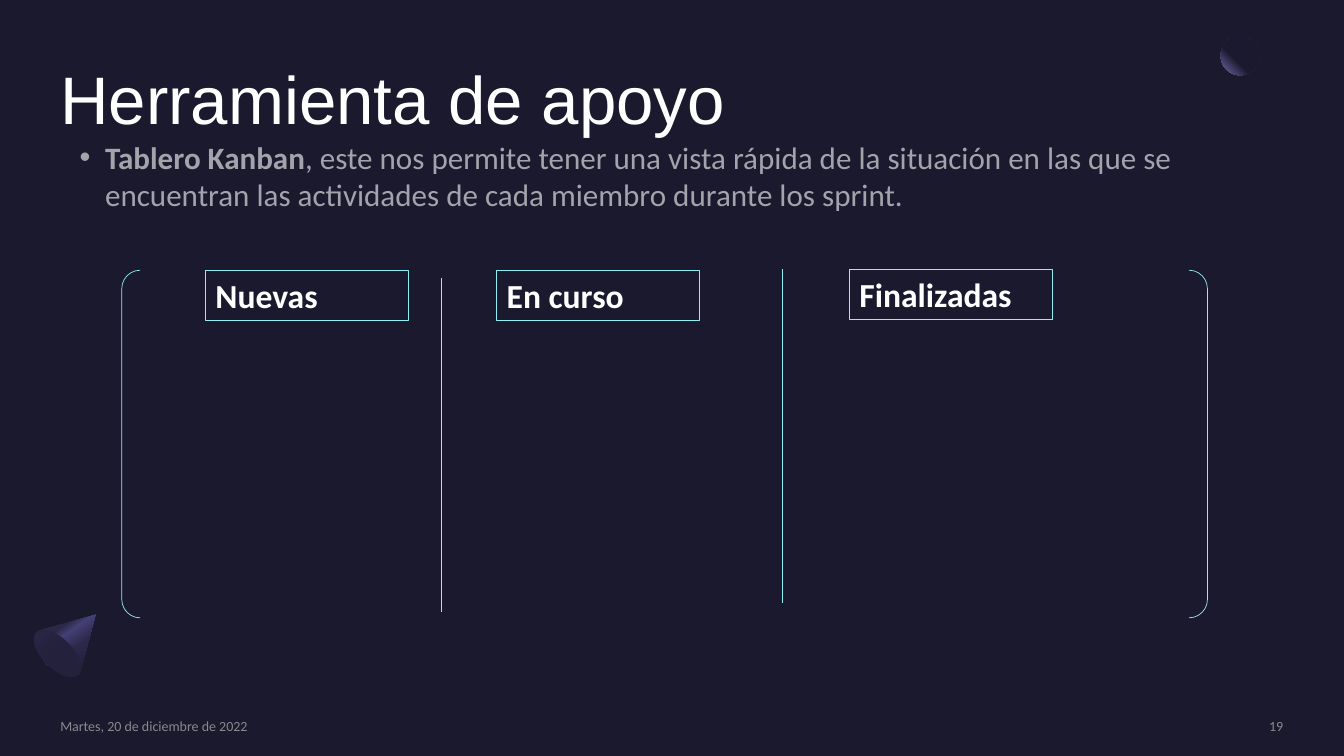
from pptx import Presentation
from pptx import util as u
from pptx.dml.color import RGBColor
from pptx.enum import shapes, text
from pptx.oxml import parse_xml
from pptx.oxml.ns import nsdecls, qn

Cm = u.Cm
THEME = {
    "bg": "1B192E", "white": "FFFFFF", "grey": "A6A6A6", "cyan": "91EDF5",
    "lilac": "7771B2", "violet": "454075", "indigo": "2C284A", "night": "23213C",
    "title": 48, "body": 22.2, "head": 24, "foot": 10,
    "title_font": "Arial", "font": "Calibri",
}
A_NS = nsdecls("a")


def add_text(p, content, size, color, font="font", bold=False, alpha=None):
    r = p.add_run()
    r.text = content
    formats = {"name": THEME[font], "size": u.Pt(THEME[size]), "bold": bold}
    for name, value in formats.items():
        setattr(r.font, name, value)
    r.font.color.rgb = RGBColor.from_string(THEME[color])
    if alpha:
        rgb = r.font.fill._xPr.find(qn("a:solidFill"))[0]
        rgb.append(parse_xml(f'<a:alpha {A_NS} val="{alpha * 1000}"/>'))


def set_gradient(sp, stops, direction):
    sp.shadow.inherit = False
    sp.line.fill.background()
    sp.fill.gradient()
    grad = sp._element.spPr.find(qn("a:gradFill"))
    for child in list(grad):
        grad.remove(child)
    marks = "".join(
        f'<a:gs pos="{pos * 1000}"><a:srgbClr val="{THEME[color]}"/></a:gs>'
        for pos, color in stops)
    for child in parse_xml(f"<a:gradFill {A_NS}><a:gsLst>{marks}</a:gsLst>{direction}</a:gradFill>"):
        grad.append(child)


prs = Presentation()
prs.slide_width, prs.slide_height = Cm(33.87), Cm(19.05)
s = prs.slides.add_slide(prs.slide_layouts[5])
s.background.fill.solid()
s.background.fill.fore_color.rgb = RGBColor.from_string(THEME["bg"])

moon = s.shapes.add_shape(shapes.MSO_SHAPE.OVAL, Cm(30.76), Cm(0.91), Cm(0.99), Cm(0.99))
set_gradient(moon, [(60, "bg"), (100, "lilac")],
             '<a:path path="circle"><a:fillToRect l="100000" b="100000"/></a:path>')

outline = [(2.41, 15.49), (2.03, 16.92), (1.98, 16.99), (1.63, 17.02),
           (1.17, 16.74), (0.88, 16.28), (0.91, 15.93), (0.99, 15.88)]
points = [(Cm(x), Cm(y)) for x, y in outline]
builder = s.shapes.build_freeform(*points[0])
builder.add_line_segments(points[1:], close=True)
cone = builder.convert_to_shape()
set_gradient(cone, [(30, "indigo"), (40, "violet"), (60, "indigo"), (100, "bg")],
             '<a:lin ang="3300000" scaled="0"/>')

base = s.shapes.add_shape(shapes.MSO_SHAPE.OVAL, Cm(1.07), Cm(15.72), Cm(0.76), Cm(1.5))
base.rotation = 135
set_gradient(base, [(50, "night"), (100, "indigo")], '<a:lin ang="5400000" scaled="0"/>')

title = s.shapes.title
body = s.shapes.add_textbox(0, 0, 0, 0)
date = s.shapes.add_textbox(0, 0, 0, 0)
number = s.shapes.add_textbox(0, 0, 0, 0)
LEFT, RIGHT = text.PP_ALIGN.LEFT, text.PP_ALIGN.RIGHT
TOP, MIDDLE = text.MSO_ANCHOR.TOP, text.MSO_ANCHOR.MIDDLE
for sp, box, anchor, align in [
    (title, (1.52, 1.35, 30.81, 2.21), MIDDLE, LEFT),
    (body, (2.01, 3.48, 29.85, 1.98), TOP, LEFT),
    (date, (1.52, 18.08, 7.32, 0.43), MIDDLE, LEFT),
    (number, (27.64, 18.08, 4.7, 0.43), MIDDLE, RIGHT),
]:
    sp.left, sp.top, sp.width, sp.height = map(Cm, box)
    tf = sp.text_frame
    formats = {"margin_left": 0, "margin_top": 0, "margin_right": 0, "margin_bottom": 0,
               "word_wrap": True, "auto_size": text.MSO_AUTO_SIZE.NONE,
               "vertical_anchor": anchor}
    for name, value in formats.items():
        setattr(tf, name, value)
    tf.paragraphs[0].alignment = align

add_text(title.text_frame.paragraphs[0], "Herramienta de apoyo", "title", "white", "title_font")

p = body.text_frame.paragraphs[0]
pPr = p._p.get_or_add_pPr()
pPr.set("marL", str(Cm(0.64)))
pPr.set("indent", str(-Cm(0.64)))
pPr.append(parse_xml(f'<a:buFont {A_NS} typeface="Arial"/>'))
pPr.append(parse_xml(f'<a:buChar {A_NS} char="•"/>'))
add_text(p, "Tablero Kanban", "body", "white", bold=True, alpha=60)
add_text(p, ", este nos permite tener una vista rápida de la situación en las que se "
            "encuentran las actividades de cada miembro durante los sprint.",
         "body", "white", alpha=60)

for sp, content in [(date, "Martes, 20 de diciembre de 2022"), (number, "19")]:
    add_text(sp.text_frame.paragraphs[0], content, "foot", "grey", alpha=80)

board = s.shapes.add_shape(shapes.MSO_SHAPE.DOUBLE_BRACKET,
                           Cm(3.07), Cm(6.81), Cm(27.36), Cm(8.76))
board.adjustments[0] = 0.053
board.shadow.inherit = False
board.fill.background()
board.line.color.rgb = RGBColor.from_string(THEME["cyan"])
board.line.width = u.Pt(0.5)

for x, y in [(11.13, 7.01), (19.71, 6.78)]:
    divider = s.shapes.add_connector(shapes.MSO_CONNECTOR.STRAIGHT,
                                     Cm(x), Cm(y), Cm(x), Cm(y + 8.41))
    divider.line.color.rgb = RGBColor.from_string(THEME["cyan"])
    divider.line.width = u.Pt(0.5)
    divider._element.spPr.append(parse_xml(f"<a:effectLst {A_NS}/>"))

for content, x, y in [("Nuevas", 5.18, 6.81), ("En curso", 12.52, 6.81),
                      ("Finalizadas", 21.41, 6.78)]:
    head = s.shapes.add_shape(shapes.MSO_SHAPE.RECTANGLE, Cm(x), Cm(y), Cm(5.11), Cm(1.27))
    head.shadow.inherit = False
    head.fill.background()
    head.line.color.rgb = RGBColor.from_string(THEME["cyan"])
    head.line.width = u.Pt(0.75)
    tf = head.text_frame
    tf.word_wrap = True
    tf.vertical_anchor = TOP
    tf.auto_size = text.MSO_AUTO_SIZE.SHAPE_TO_FIT_TEXT
    p = tf.paragraphs[0]
    p.alignment = LEFT
    add_text(p, content, "head", "white", bold=True)

prs.save("out.pptx")
